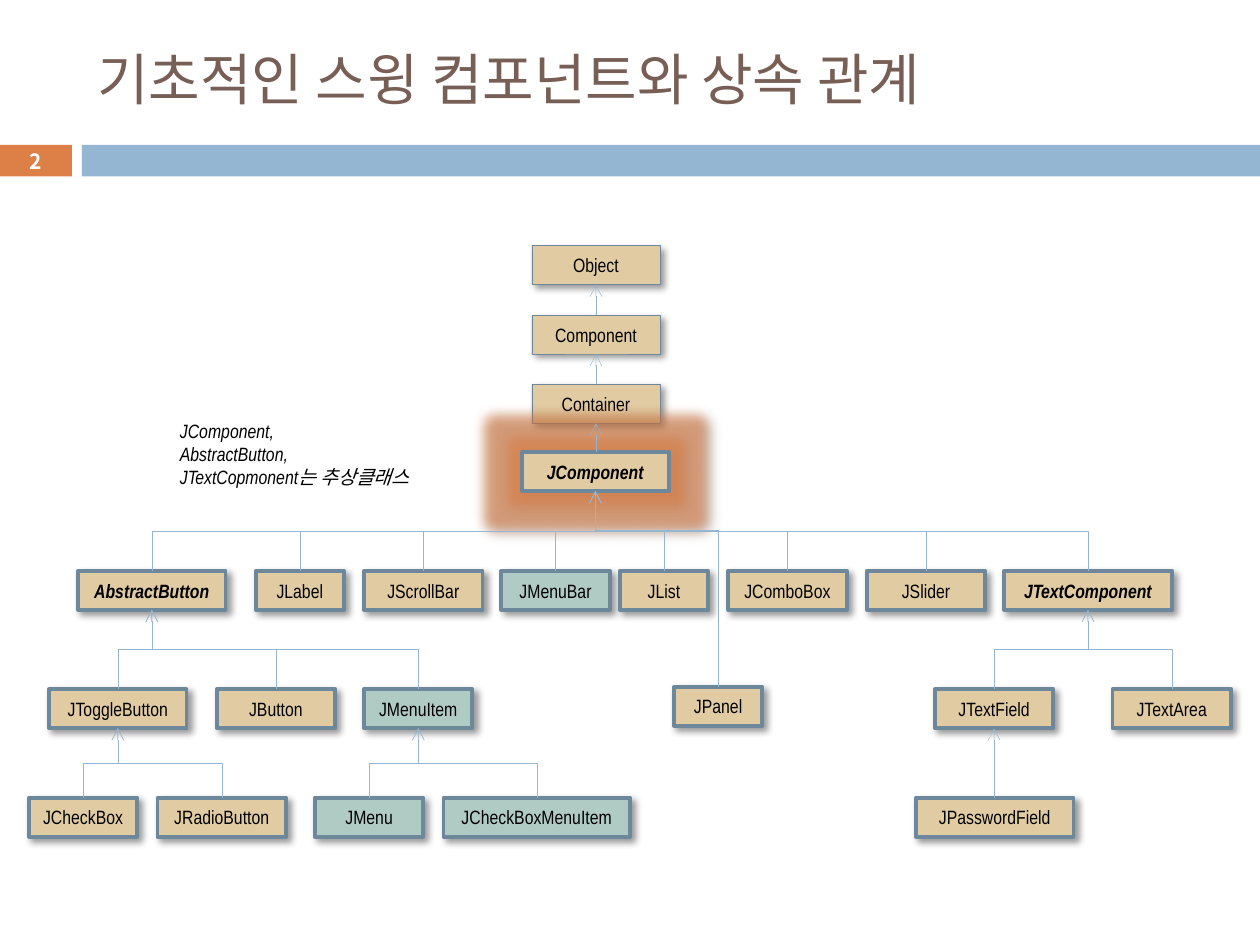
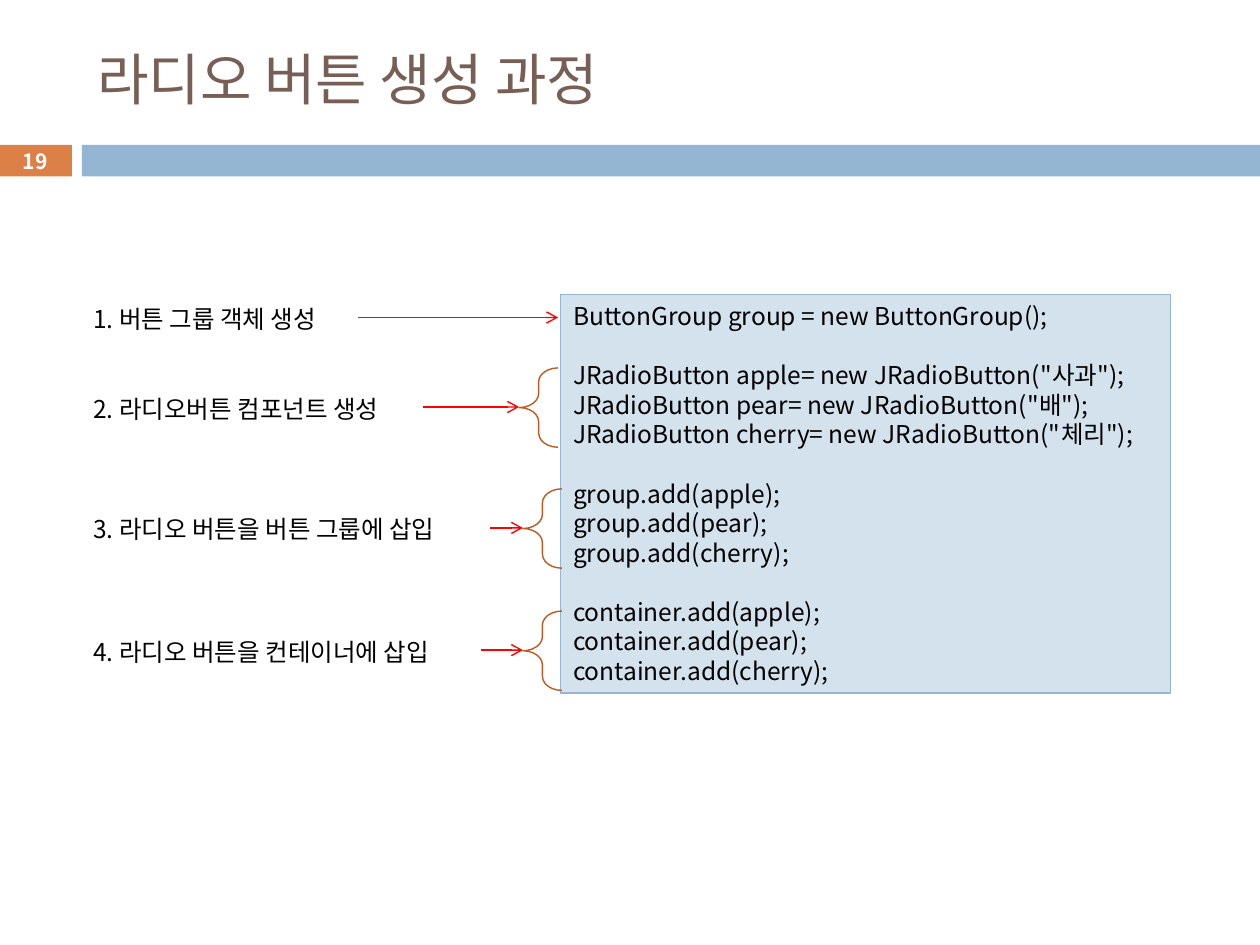
import pptx
import pptx.dml.color
import pptx.enum.shapes
import pptx.enum.text
import pptx.oxml.ns
import pptx.util
from lxml import etree

Inches = pptx.util.Inches
Pt = pptx.util.Pt
qn = pptx.oxml.ns.qn
SHAPE = pptx.enum.shapes.MSO_SHAPE
CONNECTOR = pptx.enum.shapes.MSO_CONNECTOR
ALIGN = pptx.enum.text.PP_ALIGN
ANCHOR = pptx.enum.text.MSO_ANCHOR

COLORS = {
    "title": "775F55", "orange": "DD8047", "blue": "94B6D2", "pale_blue": "D4E2ED",
    "sand": "E0CBA3", "green": "B0CAC4", "slate": "6D879B", "brace": "B95B22",
    "red": "FF0000", "black": "000000", "white": "FFFFFF",
}
HANGUL = "Noto Sans CJK KR"
NARROW = "Arial Narrow"
NODE_HEIGHT = 0.31


def rgb(name):
    return pptx.dml.color.RGBColor.from_string(COLORS[name])


def add_xml(parent, tag, **attributes):
    values = {key: str(value) for key, value in attributes.items()}
    return etree.SubElement(parent, qn(tag), values)


class SlideBuilder:
    def __init__(self, deck):
        self.deck = deck
        self.page = None

    def start(self, title, number):
        """Add a page with its title, bands and page number."""
        self.page = self.deck.slides.add_slide(self.deck.slide_layouts[5])
        heading = self.page.shapes.title
        heading.left, heading.top = Inches(0.67), Inches(0.25)
        heading.width, heading.height = Inches(8.92), Inches(0.74)
        self.fill_text(heading, [title], size=32, color="title")
        self.box(0.65, 1.15, 9.35, 0.25, "blue")
        badge = self.box(-0.01, 1.15, 0.58, 0.25, "orange")
        self.fill_text(badge, [number], size=12, color="white", bold=True,
                       align=ALIGN.CENTER, inset=0)

    def fill_text(self, shape, lines, size, font=HANGUL, color="black", bold=None,
                  italic=None, align=ALIGN.LEFT, anchor=ANCHOR.MIDDLE, inset=0.1):
        frame = shape.text_frame
        frame.auto_size = pptx.enum.text.MSO_AUTO_SIZE.NONE
        frame.word_wrap = True
        frame.vertical_anchor = anchor
        frame.margin_left, frame.margin_right = Inches(inset), 0
        frame.margin_top = frame.margin_bottom = Inches(inset / 2)
        for index, line in enumerate(lines):
            para = frame.add_paragraph() if index else frame.paragraphs[0]
            para.alignment = align
            span = para.add_run()
            span.text = line
            span.font.name, span.font.size = font, Pt(size)
            span.font.bold, span.font.italic = bold, italic
            span.font.color.rgb = rgb(color)
            add_xml(span._r.rPr, "a:ea", typeface=HANGUL)
        return frame

    def box(self, left, top, width, height, fill=None, line=None, weight=0.75,
            kind=SHAPE.RECTANGLE):
        box = self.page.shapes.add_shape(
            kind, Inches(left), Inches(top), Inches(width), Inches(height))
        if fill:
            box.fill.solid()
            box.fill.fore_color.rgb = rgb(fill)
        else:
            box.fill.background()
        if line:
            box.line.color.rgb = rgb(line)
            box.line.width = Pt(weight)
        else:
            box.line.fill.background()
        box.shadow.inherit = False
        return box

    def label(self, left, top, width, height, lines, **style):
        box = self.page.shapes.add_textbox(
            Inches(left), Inches(top), Inches(width), Inches(height))
        self.fill_text(box, lines, **style)

    def node(self, name, left, top, width, fill="sand", weight=2.25,
             abstract=None, glow=False):
        box = self.box(left, top, width, NODE_HEIGHT, fill, "slate", weight)
        self.fill_text(box, [name], size=11, font=NARROW, bold=abstract,
                       italic=abstract, align=ALIGN.CENTER, inset=0)
        effects = box._element.spPr.find(qn("a:effectLst"))
        if glow:
            self.effect(effects, "a:glow", "orange", 60, rad=Pt(14))
        self.effect(effects, "a:outerShdw", "black", 40, blurRad=Pt(4), dist=Pt(3),
                    dir=45 * 60000, algn="tl", rotWithShape=0)
        return box

    def effect(self, effects, tag, color, opacity, **attributes):
        element = add_xml(effects, tag, **attributes)
        tint = add_xml(element, "a:srgbClr", val=COLORS[color])
        add_xml(tint, "a:alpha", val=opacity * 1000)

    def arrow(self, begin, end, color, weight, kind=CONNECTOR.STRAIGHT):
        """Draw a connector between two points given in EMU."""
        line = self.page.shapes.add_connector(kind, *begin, *end)
        line.line.color.rgb = rgb(color)
        line.line.width = Pt(weight)
        properties = line._element.spPr
        add_xml(properties.find(qn("a:ln")), "a:tailEnd", type="arrow")
        add_xml(properties, "a:effectLst")
        return line

    def inherit(self, child, parent, bend=0.5):
        """Link a child's top to its parent's bottom; bend is the turn's share of the rise."""
        x1, y1 = child.left + child.width // 2, child.top
        x2, y2 = parent.left + parent.width // 2, parent.top + parent.height
        if abs(x1 - x2) < Inches(0.02):
            self.arrow((x2, y1), (x2, y2), "blue", 0.25)
            return
        # A bent connector starts sideways, so lay it flat and turn it upright.
        side = 1 if x1 > x2 else -1
        middle_x, middle_y = (x1 + x2) // 2, (y1 + y2) // 2
        half_rise, half_run = (y1 - y2) // 2, abs(x1 - x2) // 2
        line = self.arrow((middle_x - side * half_rise, middle_y + half_run),
                          (middle_x + side * half_rise, middle_y - half_run),
                          "blue", 0.25, CONNECTOR.ELBOW)
        properties = line._element.spPr
        properties.find(qn("a:xfrm")).set("rot", str((180 + side * 90) * 60000))
        geometry = properties.find(qn("a:prstGeom"))
        guides = geometry.find(qn("a:avLst"))
        if guides is None:
            guides = add_xml(geometry, "a:avLst")
        add_xml(guides, "a:gd", name="adj1", fmla=f"val {round(bend * 100000)}")


def build_hierarchy(builder):
    builder.start("기초적인 스윙 컴포넌트와 상속 관계", "2")
    nodes = {}
    chain = ["Object", "Component", "Container"]
    for index, name in enumerate(chain):
        nodes[name] = builder.node(name, 4.22, 1.95 + 0.55 * index, 1.02, weight=0.25)
    nodes["JComponent"] = builder.node("JComponent", 4.14, 3.59, 1.17,
                                       abstract=True, glow=True)
    for parent, child in zip(chain, chain[1:] + ["JComponent"]):
        builder.inherit(nodes[child], nodes[parent])

    abstract = {"AbstractButton", "JTextComponent"}
    menus = {"JMenuBar", "JMenuItem", "JMenu", "JCheckBoxMenuItem"}
    rows = {
        4.53: [
            ("AbstractButton", "JComponent", 0.62, 1.17),
            ("JLabel", "JComponent", 2.03, 0.7),
            ("JScrollBar", "JComponent", 2.89, 0.94),
            ("JMenuBar", "JComponent", 3.98, 0.86),
            ("JList", "JComponent", 4.92, 0.7),
            ("JComboBox", "JComponent", 5.78, 0.94),
            ("JSlider", "JComponent", 6.88, 0.94),
            ("JTextComponent", "JComponent", 7.97, 1.33),
        ],
        5.45: [("JPanel", "JComponent", 5.35, 0.7)],
        5.47: [
            ("JToggleButton", "AbstractButton", 0.39, 1.09),
            ("JButton", "AbstractButton", 1.72, 0.94),
            ("JMenuItem", "AbstractButton", 2.89, 0.86),
            ("JTextField", "JTextComponent", 7.42, 0.94),
            ("JTextArea", "JTextComponent", 8.83, 0.94),
        ],
        6.33: [
            ("JCheckBox", "JToggleButton", 0.23, 0.86),
            ("JRadioButton", "JToggleButton", 1.25, 1.02),
            ("JMenu", "JMenuItem", 2.5, 0.86),
            ("JCheckBoxMenuItem", "JMenuItem", 3.52, 1.48),
            ("JPasswordField", "JTextField", 7.27, 1.25),
        ],
    }
    for top, row in rows.items():
        for name, parent, left, width in row:
            nodes[name] = builder.node(
                name, left, top, width, fill="green" if name in menus else "sand",
                abstract=True if name in abstract else None)
            builder.inherit(nodes[name], nodes[parent],
                            bend=0.8 if name == "JPanel" else 0.5)
    builder.label(1.33, 3.28, 2.3, 0.66,
                  ["JComponent,", "AbstractButton,", "JTextCopmonent는 추상클래스"],
                  size=11, font=NARROW, italic=True, anchor=ANCHOR.TOP)


def build_radio_steps(builder):
    builder.start("라디오 버튼 생성 과정", "19")
    fruits = {"apple": "사과", "pear": "배", "cherry": "체리"}
    groups = [
        ["ButtonGroup group = new ButtonGroup();"],
        [f'JRadioButton {name}= new JRadioButton("{word}");'
         for name, word in fruits.items()],
        [f"group.add({name});" for name in fruits],
        [f"container.add({name});" for name in fruits],
    ]
    code = builder.box(4.45, 2.34, 4.84, 3.16, "pale_blue", "blue")
    frame = builder.fill_text(code, [line for group in groups for line in group],
                              size=14, anchor=ANCHOR.TOP)
    line_height = Pt(16.9)
    for para in frame.paragraphs:
        para.line_spacing = line_height
    first = 0
    for group in groups[:-1]:
        first += len(group)
        frame.paragraphs[first].space_before = line_height

    # text, middle of the step, arrow start, arrow end
    steps = [
        ("1. 버튼 그룹 객체 생성", 2.52, 2.84, 4.43),
        ("2. 라디오버튼 컴포넌트 생성", 3.23, 3.36, 4.12),
        ("3. 라디오 버튼을 버튼 그룹에 삽입", 4.19, 3.89, 4.15),
        ("4. 라디오 버튼을 컨테이너에 삽입", 5.16, 3.82, 4.15),
    ]
    for (text, middle, start, end), group in zip(steps, groups):
        builder.label(0.64, middle - 0.16, start - 0.64, 0.34, [text], size=14)
        builder.arrow((Inches(start), Inches(middle)), (Inches(end), Inches(middle)),
                      "red", 0.79)
        if len(group) > 1:
            brace = builder.box(end, middle - 0.31, 0.31, 0.63, line="brace",
                                weight=0.79, kind=SHAPE.LEFT_BRACE)
            brace.adjustments[0] = 0.36


def main():
    deck = pptx.Presentation()
    deck.slide_width, deck.slide_height = Inches(10), Inches(7.5)
    builder = SlideBuilder(deck)
    build_hierarchy(builder)
    build_radio_steps(builder)
    deck.save("out.pptx")


if __name__ == "__main__":
    main()
